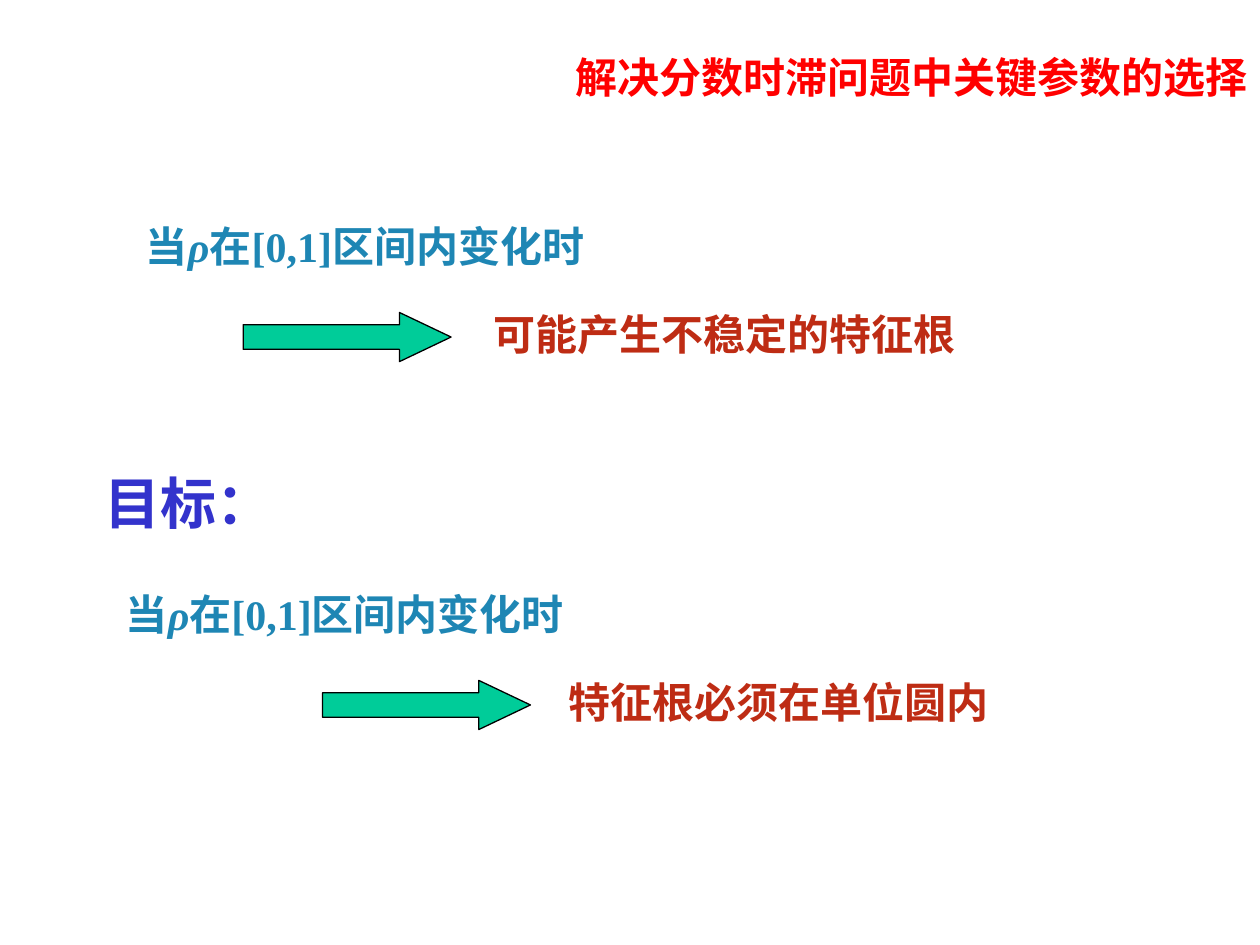
from pptx import Presentation
from pptx import util as u
from pptx.dml.color import RGBColor
from pptx.enum import shapes, text

THEME = {
    "font": "Times New Roman",
    "body": 24,
    "heading": 32,
    "title_color": "FF0000",
    "condition_color": "1E86B4",
    "result_color": "BE2C14",
    "goal_color": "3333CC",
    "arrow_fill": "00CC99",
    "arrow_line": "000000",
}

TITLE = "解决分数时滞问题中关键参数的选择"
GOAL = "目标："
CONDITION = [("当", False), ("ρ", True), ("在[0,1]区间内变化时", False)]
CASES = [
    {"top": 1.7, "condition_left": 1.06, "arrow_left": 1.93,
     "result_left": 3.82, "result": "可能产生不稳定的特征根"},
    {"top": 4.62, "condition_left": 0.9, "arrow_left": 2.56,
     "result_left": 4.41, "result": "特征根必须在单位圆内"},
]
RESULT_DROP = 0.7
ARROW_DROP = 0.78


def add_text(slide, content, left, top, width, height=0.5, color="000000",
             size=THEME["body"], align=text.PP_ALIGN.LEFT):
    box = slide.shapes.add_textbox(*map(u.Inches, (left, top, width, height)))
    frame = box.text_frame
    frame.word_wrap = True
    frame.auto_size = text.MSO_AUTO_SIZE.SHAPE_TO_FIT_TEXT
    paragraph = frame.paragraphs[0]
    paragraph.alignment = align
    pieces = [(content, False)] if isinstance(content, str) else content
    for words, italic in pieces:
        run = paragraph.add_run()
        run.text = words
        run.font.name = THEME["font"]
        run.font.size = u.Pt(size)
        run.font.bold = True
        run.font.italic = italic
        run.font.color.rgb = RGBColor.from_string(color)


def add_arrow(slide, left, top):
    arrow = slide.shapes.add_shape(
        shapes.MSO_SHAPE.RIGHT_ARROW,
        *map(u.Inches, (left, top, 1.65, 0.39)))
    arrow.adjustments[0] = 0.5
    arrow.adjustments[1] = 1.05
    arrow.shadow.inherit = False
    arrow.fill.solid()
    arrow.fill.fore_color.rgb = RGBColor.from_string(THEME["arrow_fill"])
    arrow.line.color.rgb = RGBColor.from_string(THEME["arrow_line"])
    arrow.line.width = u.Pt(0.75)


def add_case(slide, case):
    top = case["top"]
    add_text(slide, CONDITION, case["condition_left"], top, 7.11,
             color=THEME["condition_color"])
    add_text(slide, case["result"], case["result_left"], top + RESULT_DROP,
             5.59, color=THEME["result_color"])
    add_arrow(slide, case["arrow_left"], top + ARROW_DROP)


def main():
    deck = Presentation()
    deck.slide_width = u.Inches(10)
    deck.slide_height = u.Inches(7.5)
    slide = deck.slides.add_slide(deck.slide_layouts[6])

    present, target = CASES
    add_case(slide, present)
    add_text(slide, GOAL, 0.73, 3.67, 3.57, 0.64,
             color=THEME["goal_color"], size=THEME["heading"])
    add_case(slide, target)
    add_text(slide, TITLE, 3.27, 0.36, 6.73,
             color=THEME["title_color"], align=text.PP_ALIGN.RIGHT)
    deck.save("out.pptx")


if __name__ == "__main__":
    main()
